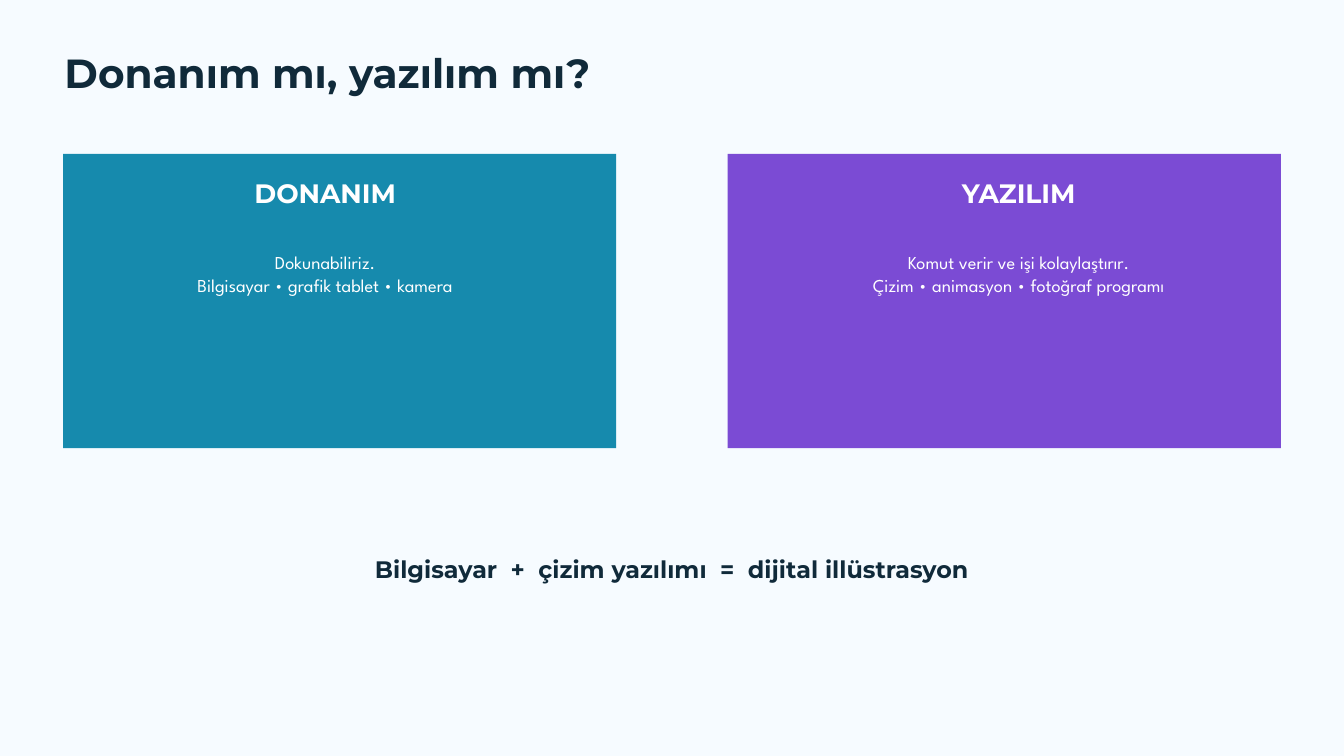
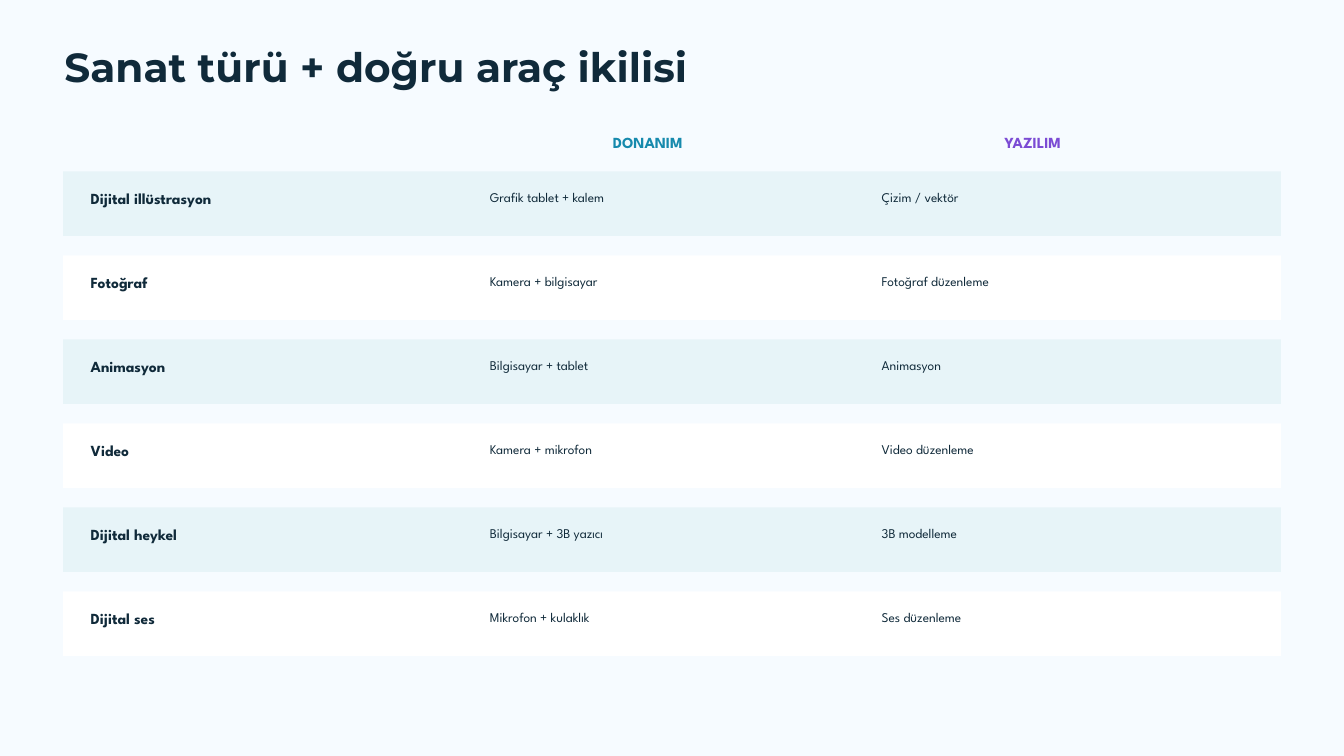
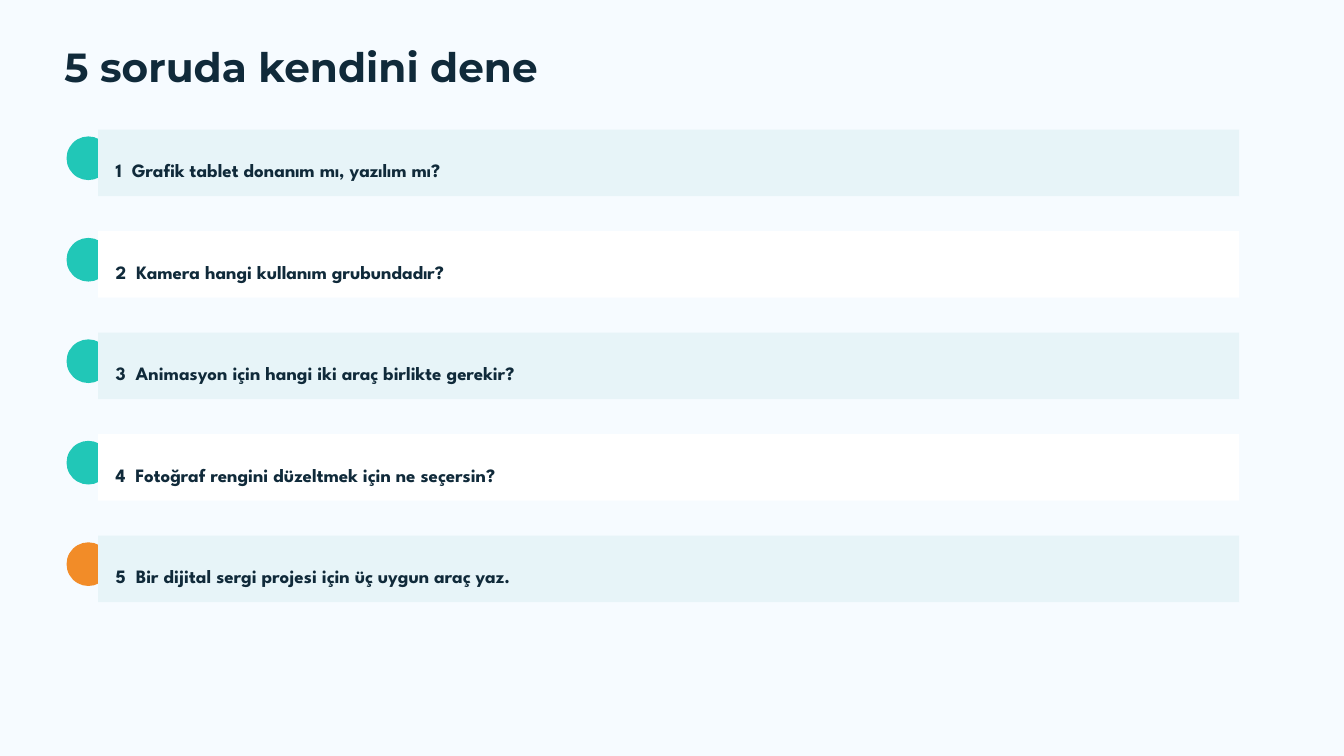
from pptx import Presentation
from pptx.dml.color import RGBColor
from pptx.enum.shapes import MSO_SHAPE
from pptx.enum.text import MSO_AUTO_SIZE, PP_ALIGN
from pptx.util import Inches, Pt

PAPER = RGBColor(0xF6, 0xFB, 0xFF)
INK = RGBColor(0x10, 0x2A, 0x3A)
WHITE = RGBColor(0xFF, 0xFF, 0xFF)
ICE = RGBColor(0xE7, 0xF4, 0xF8)
BLUE = RGBColor(0x16, 0x8A, 0xAD)
PURPLE = RGBColor(0x7B, 0x4B, 0xD4)
TEAL = RGBColor(0x21, 0xC7, 0xB7)
ORANGE = RGBColor(0xF2, 0x8C, 0x28)

HEADING_FONT = "Montserrat"
BODY_FONT = "League Spartan"

BAND_FILLS = (ICE, WHITE)
MARGIN = 0.94

# Card: left edge, fill, text centre, heading, lines
CARDS = [
    (MARGIN, BLUE, 4.84, "DONANIM",
     ["Dokunabiliriz.", "Bilgisayar • grafik tablet • kamera"]),
    (10.83, PURPLE, 15.16, "YAZILIM",
     ["Komut verir ve işi kolaylaştırır.", "Çizim • animasyon • fotoğraf programı"]),
]

TOOL_PAIRS = [
    ("Dijital illüstrasyon", "Grafik tablet + kalem", "Çizim / vektör"),
    ("Fotoğraf", "Kamera + bilgisayar", "Fotoğraf düzenleme"),
    ("Animasyon", "Bilgisayar + tablet", "Animasyon"),
    ("Video", "Kamera + mikrofon", "Video düzenleme"),
    ("Dijital heykel", "Bilgisayar + 3B yazıcı", "3B modelleme"),
    ("Dijital ses", "Mikrofon + kulaklık", "Ses düzenleme"),
]

QUESTIONS = [
    "Grafik tablet donanım mı, yazılım mı?",
    "Kamera hangi kullanım grubundadır?",
    "Animasyon için hangi iki araç birlikte gerekir?",
    "Fotoğraf rengini düzeltmek için ne seçersin?",
    "Bir dijital sergi projesi için üç uygun araç yaz.",
]


def add_text(page, left, top, width, height, lines, size, spacing, font=BODY_FONT,
             color=INK, bold=False, align=PP_ALIGN.LEFT):
    """Add a text box without insets; spacing is the line pitch in points."""
    box = page.shapes.add_textbox(Inches(left), Inches(top), Inches(width), Inches(height))
    frame = box.text_frame
    frame.word_wrap = True
    frame.auto_size = MSO_AUTO_SIZE.SHAPE_TO_FIT_TEXT
    frame.margin_left = frame.margin_right = frame.margin_top = frame.margin_bottom = 0
    frame.text = "\n".join(lines)
    for para in frame.paragraphs:
        para.alignment = align
        para.line_spacing = Pt(spacing)
        para.font.name = font
        para.font.size = Pt(size)
        para.font.bold = bold
        para.font.color.rgb = color


def add_block(page, left, top, width, height, fill, kind=MSO_SHAPE.RECTANGLE):
    block = page.shapes.add_shape(kind, Inches(left), Inches(top), Inches(width), Inches(height))
    block.shadow.inherit = False
    block.fill.solid()
    block.fill.fore_color.rgb = fill
    block.line.fill.background()


def add_page(deck, title, title_top=0.69):
    page = deck.slides.add_slide(deck.slide_layouts[6])
    page.background.fill.solid()
    page.background.fill.fore_color.rgb = PAPER
    add_text(page, 0.96, title_top, 15.6, 0.66, [title], 43.5, 47, HEADING_FONT, bold=True)
    return page


def add_card(page, left, fill, center, heading, lines):
    add_block(page, left, 2.29, 8.23, 4.38, fill)
    add_text(page, center - 3.38, 2.55, 6.76, 0.53, [heading], 28.5, 39.9, HEADING_FONT,
             WHITE, bold=True, align=PP_ALIGN.CENTER)
    add_text(page, center - 3.02, 3.73, 6.04, 0.67, lines, 19.5, 24.4,
             color=WHITE, align=PP_ALIGN.CENTER)


def add_tool_row(page, top, fill, art, hardware, software):
    add_block(page, MARGIN, top, 18.12, 0.96, fill)
    text_top = top + 0.27
    add_text(page, 1.35, text_top, 4.48, 0.26, [art], 16.5, 19, bold=True)
    for left, tool in ((7.29, hardware), (13.12, software)):
        add_text(page, left, text_top, 4.69, 0.22, [tool], 14.25, 16.8)


def add_question(page, top, fill, dot_color, text):
    add_block(page, 0.99, top + 0.1, 0.65, 0.65, dot_color, MSO_SHAPE.OVAL)
    add_block(page, 1.46, top, 16.98, 0.99, fill)
    add_text(page, 1.72, top + 0.38, 15.62, 0.36, [text], 20.25, 28.4, bold=True)


def build_comparison(deck):
    page = add_page(deck, "Donanım mı, yazılım mı?", title_top=0.79)
    for card in CARDS:
        add_card(page, *card)
    add_text(page, 3.28, 8.18, 13.44, 0.47,
             ["Bilgisayar  +  çizim yazılımı  =  dijital illüstrasyon"],
             25.5, 35.7, HEADING_FONT, bold=True, align=PP_ALIGN.CENTER)


def build_tool_pairs(deck):
    page = add_page(deck, "Sanat türü + doğru araç ikilisi")
    for left, label, color in ((7.19, "DONANIM", BLUE), (12.92, "YAZILIM", PURPLE)):
        add_text(page, left, 1.99, 4.9, 0.26, [label], 16.5, 19,
                 color=color, bold=True, align=PP_ALIGN.CENTER)
    for index, pair in enumerate(TOOL_PAIRS):
        add_tool_row(page, 2.55 + 1.25 * index, BAND_FILLS[index % 2], *pair)


def build_quiz(deck):
    page = add_page(deck, "5 soruda kendini dene")
    for index, question in enumerate(QUESTIONS):
        number = index + 1
        dot_color = ORANGE if number == len(QUESTIONS) else TEAL
        add_question(page, 1.93 + 1.51 * index, BAND_FILLS[index % 2], dot_color,
                     f"{number}  {question}")


def main():
    deck = Presentation()
    deck.slide_width = Inches(20)
    deck.slide_height = Inches(11.25)
    build_comparison(deck)
    build_tool_pairs(deck)
    build_quiz(deck)
    deck.save("out.pptx")


if __name__ == "__main__":
    main()
